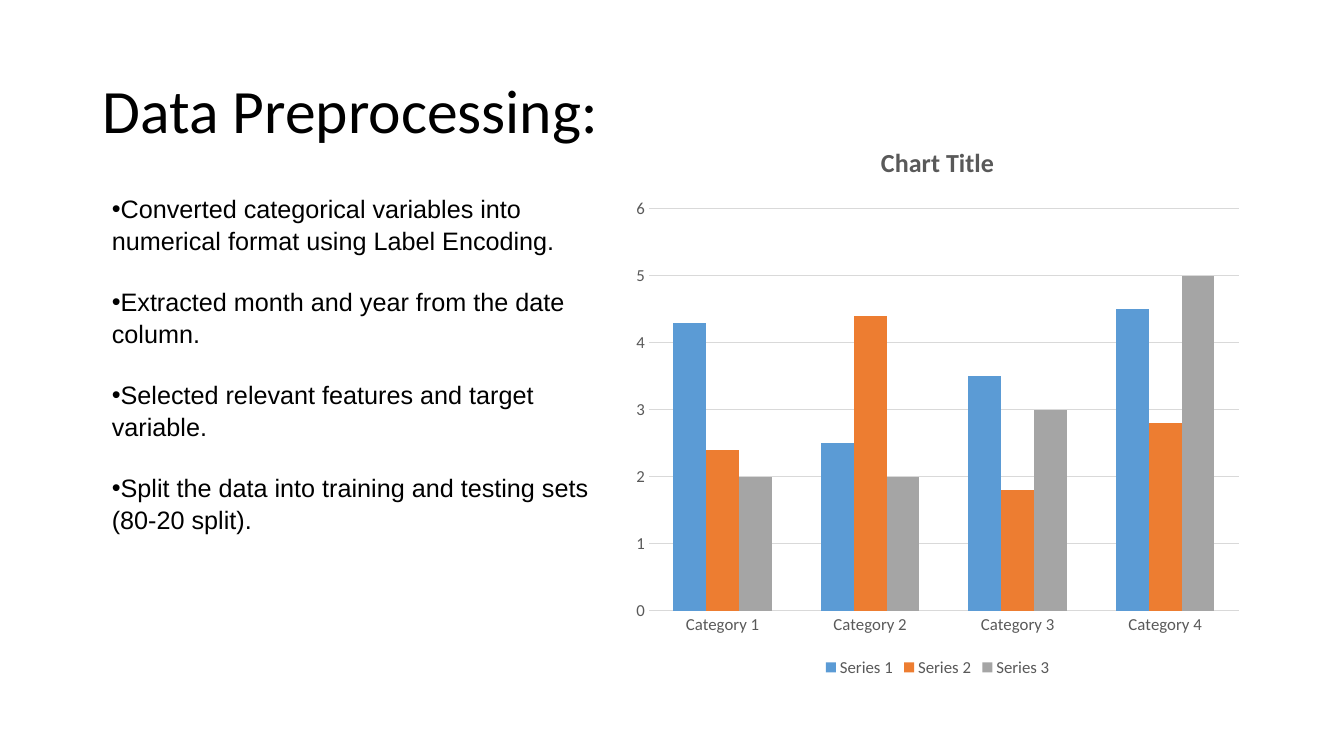
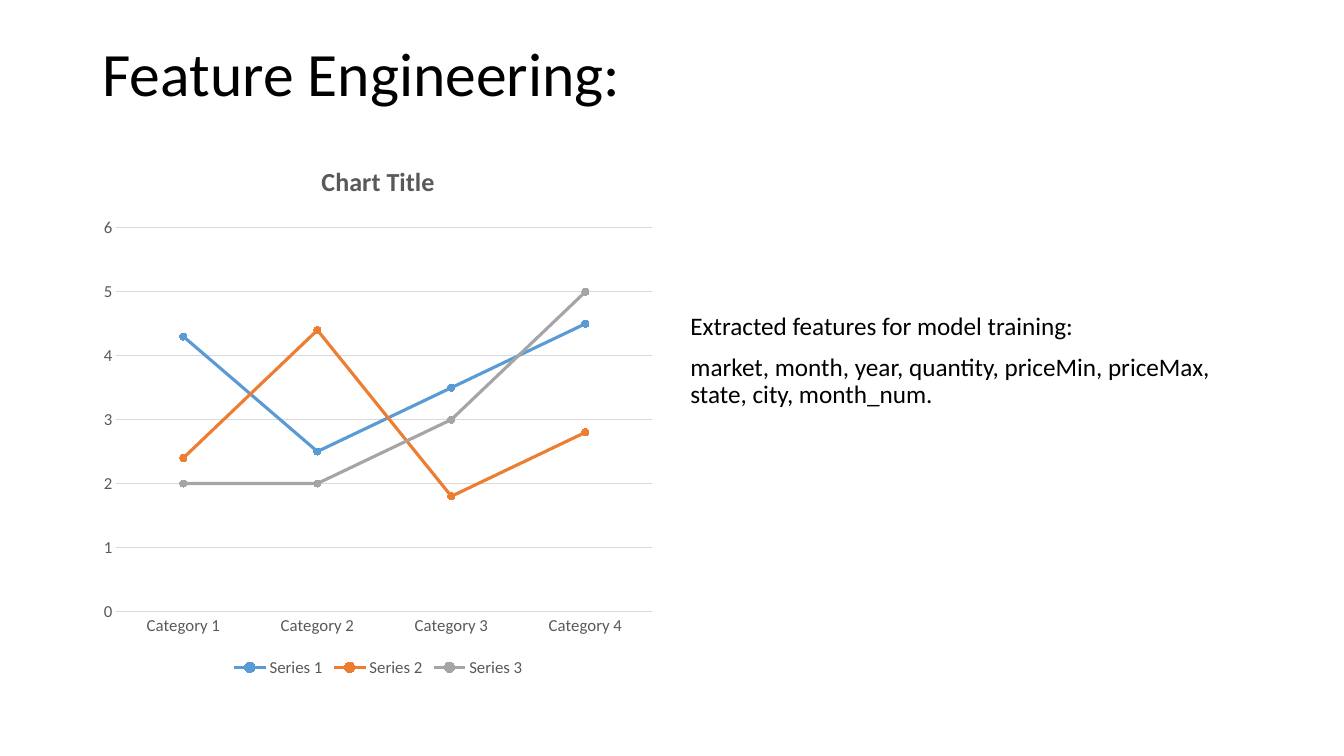
from lxml import etree
from pptx import Presentation
from pptx import util as u
from pptx.chart import data as chart_data
from pptx.dml.color import RGBColor
from pptx.enum import chart as ch, text as t
from pptx.oxml import ns

# Shared style
BLACK, GRAY, GRID = "000000", "595959", "D9D9D9"
SERIES_COLORS = ["5B9BD5", "ED7D31", "A5A5A5"]
BODY_FONT = "Calibri"

CATEGORIES = [f"Category {number}" for number in range(1, 5)]
SERIES = {
    "Series 1": [4.3, 2.5, 3.5, 4.5],
    "Series 2": [2.4, 4.4, 1.8, 2.8],
    "Series 3": [2, 2, 3, 5],
}

# One entry per slide; boxes are left, top, width, height in centimetres
SLIDES = [
    dict(
        title="Data Preprocessing:", title_top=1.01,
        chart_type=ch.XL_CHART_TYPE.COLUMN_CLUSTERED,
        chart_box=(15.72, 3.1, 15.82, 14.07),
        text_box=(1.3, 4.72, 14.43, 9.4),
        lines=[
            "Converted categorical variables into numerical format using Label Encoding.",
            "Extracted month and year from the date column.",
            "Selected relevant features and target variable.",
            "Split the data into training and testing sets (80-20 split).",
        ],
        style=dict(font="Arial", spacing=1.04, before=21.6, bullet=True),
    ),
    dict(
        title="Feature Engineering:", title_top=0.08,
        chart_type=ch.XL_CHART_TYPE.LINE_MARKERS,
        chart_box=(2.33, 3.6, 14.4, 13.57),
        text_box=(17.15, 7.77, 13.7, 3.88),
        lines=[
            "Extracted features for model training:",
            "market, month, year, quantity, priceMin, priceMax, state, city, month_num.",
        ],
        style=dict(spacing=0.9, before=10),
    ),
]


def color(hex_code):
    return RGBColor.from_string(hex_code)


def write(frame, lines, size=18, font=BODY_FONT, ink=BLACK, spacing=1.0,
          before=0, bullet=False, anchor=t.MSO_ANCHOR.TOP):
    """Fill a text frame with one paragraph per line."""
    frame.word_wrap = True
    frame.auto_size = t.MSO_AUTO_SIZE.NONE
    frame.vertical_anchor = anchor
    for index, line in enumerate(lines):
        para = frame.paragraphs[0] if index == 0 else frame.add_paragraph()
        para.alignment = t.PP_ALIGN.LEFT
        para.line_spacing = spacing
        para.space_before = u.Pt(before if index else 0)
        span = para.add_run()
        span.text = line
        span.font.size = u.Pt(size)
        span.font.name = font
        span.font.color.rgb = color(ink)
        if bullet:
            props = para._p.get_or_add_pPr()
            props.set("marL", str(u.Cm(1.27)))
            props.set("indent", "0")
            etree.SubElement(props, ns.qn("a:buFont"), typeface="Arial")
            etree.SubElement(props, ns.qn("a:buChar"), char="•")


deck = Presentation()
deck.slide_width, deck.slide_height = u.Cm(33.87), u.Cm(19.05)
title_only = deck.slide_layouts[5]

for content in SLIDES:
    page = deck.slides.add_slide(title_only)

    # Title
    title = page.shapes.title
    title.left, title.top = u.Cm(2.33), u.Cm(content["title_top"])
    title.width, title.height = u.Cm(29.21), u.Cm(3.68)
    write(title.text_frame, [content["title"]], size=44, spacing=0.9,
          anchor=t.MSO_ANCHOR.MIDDLE)

    # Body text
    box = page.shapes.add_textbox(*map(u.Cm, content["text_box"]))
    write(box.text_frame, content["lines"], **content["style"])

    # Chart
    figures = chart_data.CategoryChartData()
    figures.categories = CATEGORIES
    for name, values in SERIES.items():
        figures.add_series(name, values)
    chart = page.shapes.add_chart(
        content["chart_type"], *map(u.Cm, content["chart_box"]), figures).chart
    chart.font.name = BODY_FONT
    chart.font.size = u.Pt(12)
    chart.font.color.rgb = color(GRAY)
    chart.has_title = True
    write(chart.chart_title.text_frame, ["Chart Title"], size=18.6, ink=GRAY)
    chart.chart_title.include_in_layout = False
    chart.has_legend = True
    chart.legend.position = ch.XL_LEGEND_POSITION.BOTTOM
    chart.legend.include_in_layout = False

    # Axes
    for axis in (chart.category_axis, chart.value_axis):
        axis.major_tick_mark = axis.minor_tick_mark = ch.XL_TICK_MARK.NONE
        axis.format.line.fill.background()
    scale = chart.value_axis
    scale.minimum_scale, scale.maximum_scale, scale.major_unit = 0, 6, 1
    scale.has_major_gridlines = True
    grid = scale.major_gridlines.format.line
    grid.color.rgb = color(GRID)
    grid.width = u.Pt(0.75)

    # Series
    plot = chart.plots[0]
    plot.vary_by_categories = False
    is_column = content["chart_type"] == ch.XL_CHART_TYPE.COLUMN_CLUSTERED
    if is_column:
        plot.gap_width, plot.overlap = 150, 0
    for series, hex_code in zip(plot.series, SERIES_COLORS):
        if is_column:
            fills = [series.format.fill]
        else:
            series.smooth = False
            series.format.line.width = u.Pt(2.25)
            series.marker.style = ch.XL_MARKER_STYLE.CIRCLE
            series.marker.size = 5
            marker = series.marker.format
            fills = [series.format.line.fill, marker.fill, marker.line.fill]
        for fill in fills:
            fill.solid()
            fill.fore_color.rgb = color(hex_code)

deck.save("out.pptx")
